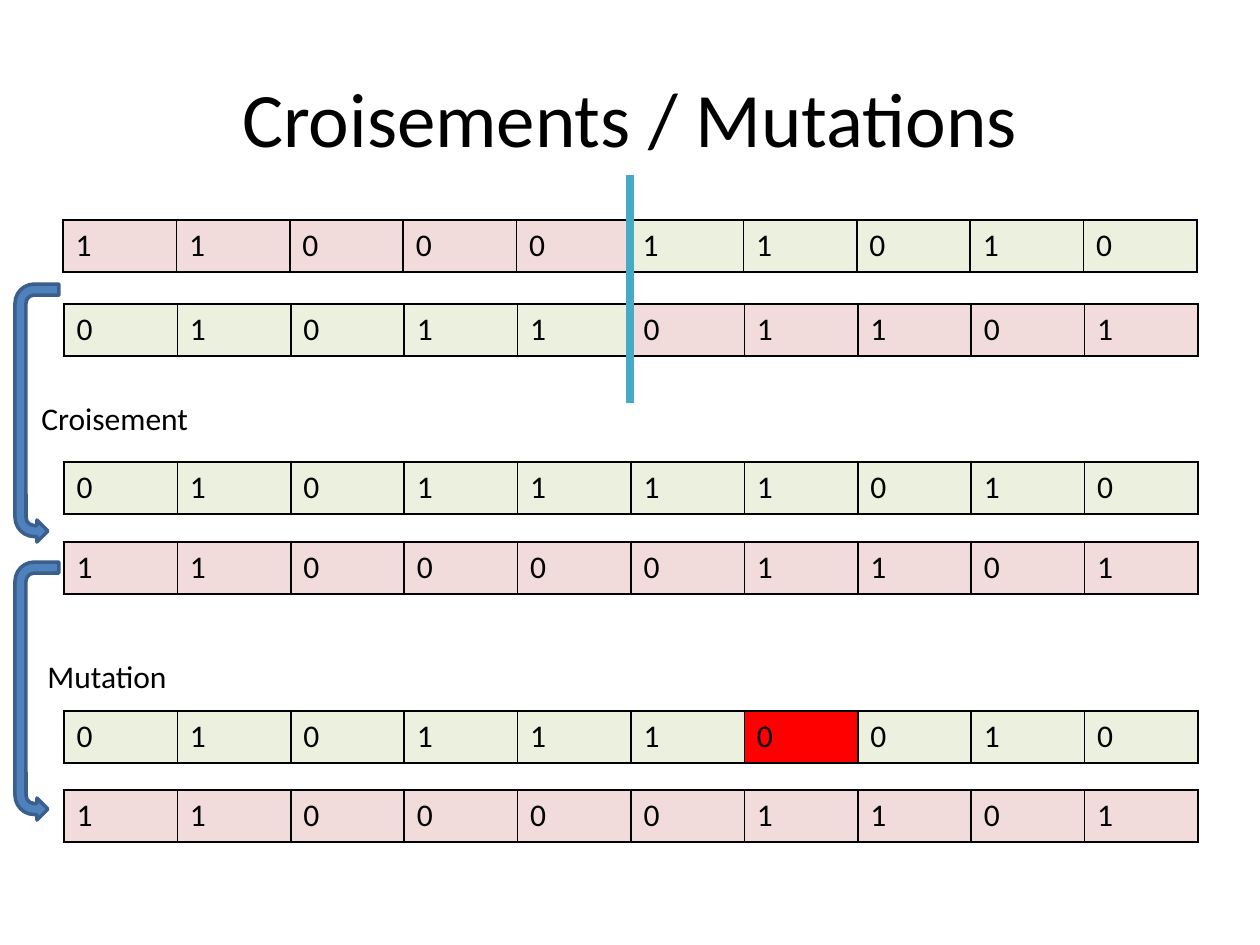
import pptx
import pptx.util
import pptx.dml.color
import pptx.enum.shapes
import pptx.enum.text
import pptx.oxml
import pptx.oxml.ns

TITLE = "Croisements / Mutations"
# Each row: left, top, genes, tint key of each gene
PARENTS = [
    (63, 220, "1100011010", "rrrrrggggg"),
    (64, 304, "0101101101", "gggggrrrrr"),
]
# Each stage: label, label box, top of its arrow, rows
STAGES = [
    ("Croisement", (29, 393, 174, 50), 284, [
        (64, 462, "0101111010", "gggggggggg"),
        (64, 542, "1100001101", "rrrrrrrrrr"),
    ]),
    ("Mutation", (35, 651, 146, 50), 562, [
        (64, 711, "0101110010", "ggggggmggg"),
        (64, 790, "1100001101", "rrrrrrrrrr"),
    ]),
]
THEME = {
    "font": "Calibri", "ink": "000000", "title": 44, "body": 18,
    "tints": {"r": "F2DCDB", "g": "EBF1DE", "m": "FF0000"},
    "cut": "46AAC5", "arrow": "4F81BD", "edge": "3A5F8C",
}
SLIDE = (1260, 945)
HEAD = (63, 38, 1134, 157)
ROW = (1134, 52)
CUT = (630, 175, 630, 403)
ARROW_LEFT, ARROW_WIDE, ARROW_TALL = 15, 44, 258
SCALE = 914400 / 126


def px(*lengths):
    """Turn picture pixels into EMU."""
    return [pptx.util.Emu(round(n * SCALE)) for n in lengths]


def tone(code):
    """Make a colour from its hex code."""
    return pptx.dml.color.RGBColor.from_string(code)


def put(item, values):
    """Set attributes of an item from a dict."""
    for name, value in values.items():
        setattr(item, name, value)


def write(frame, text, size, **look):
    """Put one line of text in a frame."""
    put(frame, look)
    frame.text = text
    font = frame.paragraphs[0].runs[0].font
    put(font, {"name": THEME["font"], "size": pptx.util.Pt(size)})
    font.color.rgb = tone(THEME["ink"])


def paint(fill, code):
    """Give a solid fill."""
    fill.solid()
    fill.fore_color.rgb = tone(code)


def stroke(line, code, width):
    """Give a line its colour and width."""
    line.color.rgb = tone(code)
    line.width = pptx.util.Pt(width)


def frame_cell(cell):
    """Draw thin borders on all sides of a cell."""
    props = cell._tc.get_or_add_tcPr()
    for side in "LRTB":
        props.append(pptx.oxml.parse_xml(
            f'<a:ln{side} {pptx.oxml.ns.nsdecls("a")} w="12700"><a:solidFill>'
            f'<a:srgbClr val="{THEME["ink"]}"/></a:solidFill></a:ln{side}>'))


def add_row(shapes, left, top, genes, tints):
    """Add one chromosome as a table of one row."""
    table = shapes.add_table(1, len(genes), *px(left, top, *ROW)).table
    put(table, {"first_row": False, "horz_banding": False})
    for i, (gene, tint) in enumerate(zip(genes, tints)):
        table.columns[i].width = px(ROW[0] / len(genes))[0]
        cell = table.cell(0, i)
        frame_cell(cell)
        paint(cell.fill, THEME["tints"][tint])
        write(cell.text_frame, gene, THEME["body"])


def add_cut(shapes):
    """Add the line where the parents are split."""
    line = shapes.add_connector(
        pptx.enum.shapes.MSO_CONNECTOR.STRAIGHT, *px(*CUT))
    stroke(line.line, THEME["cut"], 5)
    line.element.spPr.append(pptx.oxml.parse_xml(
        f'<a:effectLst {pptx.oxml.ns.nsdecls("a")}/>'))


def add_arrow(shapes, top):
    """Add a U-turn arrow that opens to the right."""
    left = ARROW_LEFT + (ARROW_WIDE - ARROW_TALL) / 2
    above = top + (ARROW_TALL - ARROW_WIDE) / 2
    arrow = shapes.add_shape(
        pptx.enum.shapes.MSO_SHAPE.U_TURN_ARROW,
        *px(left, above, ARROW_TALL, ARROW_WIDE))
    arrow.rotation = 90
    arrow.element.xpath("p:spPr/a:xfrm")[0].set("flipV", "1")
    arrow.shadow.inherit = False
    paint(arrow.fill, THEME["arrow"])
    stroke(arrow.line, THEME["edge"], 2)


def build():
    """Build the slide and save it."""
    deck = pptx.Presentation()
    put(deck, dict(zip(("slide_width", "slide_height"), px(*SLIDE))))
    shapes = deck.slides.add_slide(deck.slide_layouts[5]).shapes
    put(shapes.title, dict(zip(("left", "top", "width", "height"), px(*HEAD))))
    write(shapes.title.text_frame, TITLE, THEME["title"],
          vertical_anchor=pptx.enum.text.MSO_ANCHOR.MIDDLE)
    shapes.title.text_frame.paragraphs[0].alignment = (
        pptx.enum.text.PP_ALIGN.CENTER)
    for row in PARENTS:
        add_row(shapes, *row)
    add_cut(shapes)
    for label, box, top, rows in STAGES:
        for row in rows:
            add_row(shapes, *row)
        add_arrow(shapes, top)
        write(shapes.add_textbox(*px(*box)).text_frame, label, THEME["body"],
              word_wrap=False,
              auto_size=pptx.enum.text.MSO_AUTO_SIZE.SHAPE_TO_FIT_TEXT)
    deck.save("out.pptx")


build()
